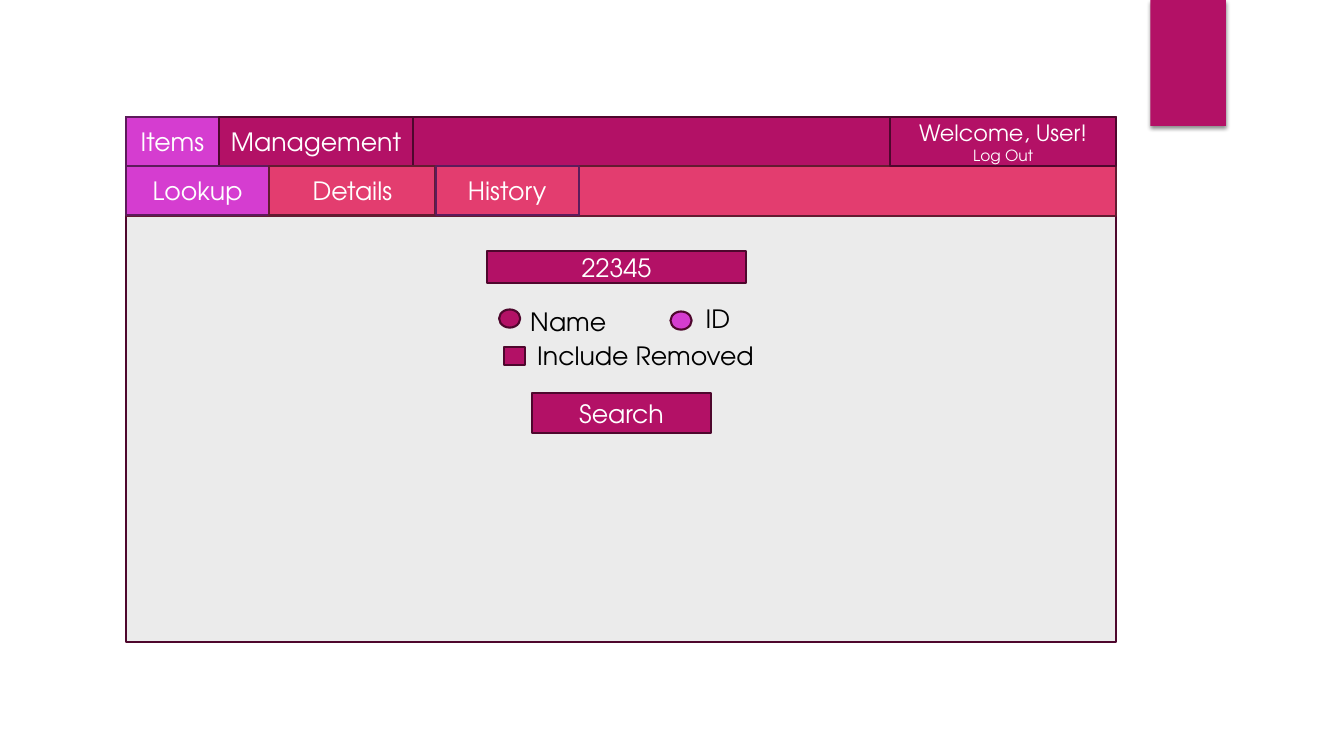
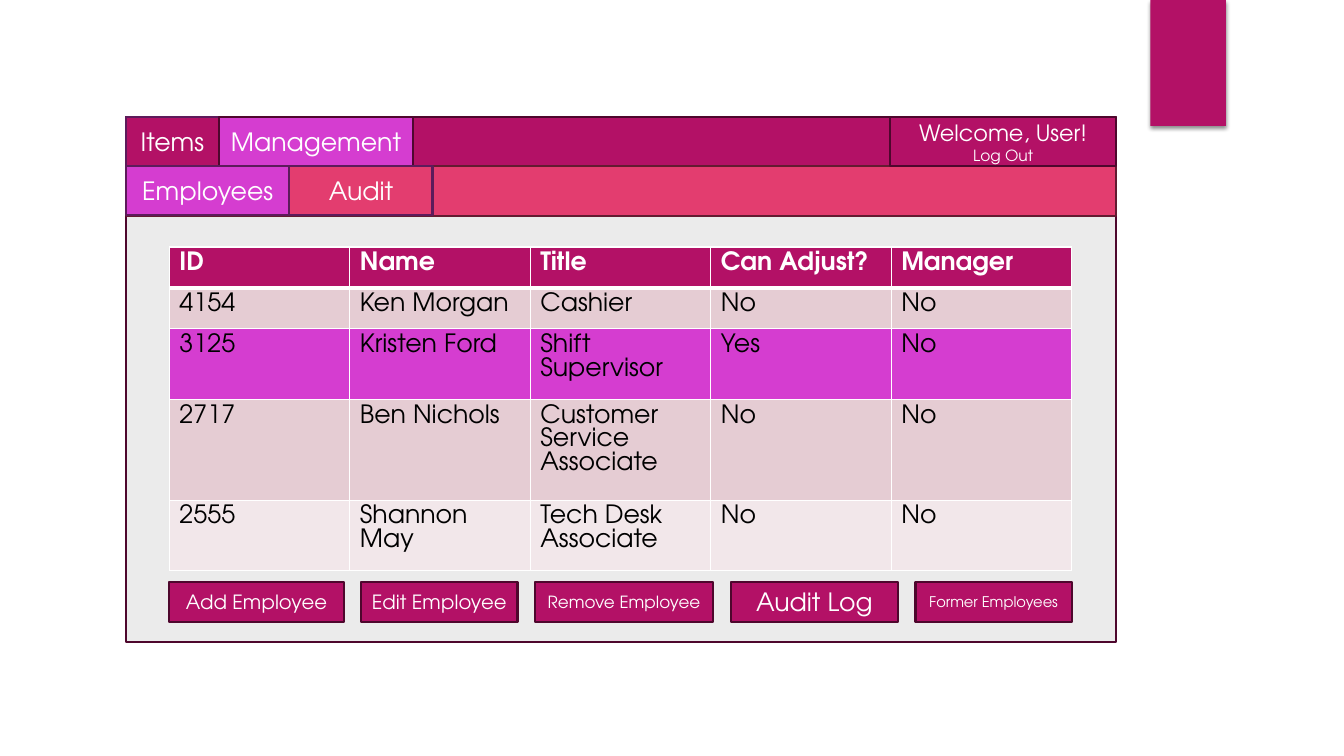
from collections import namedtuple

from lxml import etree
from pptx import Presentation
from pptx import util as u
from pptx.dml import color as dml
from pptx.enum import shapes, text
from pptx.oxml import ns

FONT = "TeX Gyre Adventor"
BERRY, ORCHID, ROSE = "B31166", "D53DD0", "E33D6F"
BERRY_EDGE, ORCHID_EDGE, ROSE_EDGE = "4E072D", "5D1B5B", "631B31"
PANEL, WHITE, BLACK = "EBEBEB", "FFFFFF", "000000"
ROW_DARK, ROW_LIGHT = "E5CCD3", "F2E7EA"
RECT, OVAL = shapes.MSO_SHAPE.RECTANGLE, shapes.MSO_SHAPE.OVAL
BAR_HEIGHT = 0.49

Box = namedtuple("Box", "left top width height")
WINDOW = Box(1.25, 1.16, 9.82, 5.21)

# Main tabs: label, width, edge colour
MAIN_TABS = [("Items", 0.92, ORCHID_EDGE), ("Management", 1.93, BERRY_EDGE)]
ITEM_TABS = [("Lookup", 1.42, ORCHID_EDGE), ("Details", 1.65, ROSE_EDGE),
             ("History", 1.42, ORCHID_EDGE)]
MANAGEMENT_TABS = [("Employees", 1.62, ORCHID_EDGE), ("Audit", 1.42, ORCHID_EDGE)]

EMPLOYEES = [
    ("ID", "Name", "Title", "Can Adjust?", "Manager"),
    ("4154", "Ken Morgan", "Cashier", "No", "No"),
    ("3125", "Kristen Ford", "Shift Supervisor", "Yes", "No"),
    ("2717", "Ben Nichols", "Customer Service Associate", "No", "No"),
    ("2555", "Shannon May", "Tech Desk Associate", "No", "No"),
]
ROW_FILLS = [BERRY, ROW_DARK, ORCHID, ROW_DARK, ROW_LIGHT]

# Buttons: label, width, text size
EMPLOYEE_BUTTONS = [("Add Employee", 1.73, 14), ("Edit Employee", 1.55, 14),
                    ("Remove Employee", 1.77, 12), ("Audit Log", 1.66, 18),
                    ("Former Employees", 1.55, 10.5)]


def rgb(value):
    return dml.RGBColor.from_string(value)


def inches(box):
    return [u.Inches(length) for length in box]


def within(box, left, top, width, height):
    """Turn offsets inside a box into a box on the page."""
    return Box(box.left + left, box.top + top, width, height)


def write(frame, content, sizes=(18,), color=WHITE, bold=False):
    frame.text = content
    for para, size in zip(frame.paragraphs, sizes):
        for span in para.runs:
            span.font.name = FONT
            span.font.size = u.Pt(size)
            span.font.bold = bold
            span.font.color.rgb = rgb(color)


def add_block(page, box, fill=BERRY, edge=BERRY_EDGE, label="", sizes=(18,), kind=RECT):
    block = page.shapes.add_shape(kind, *inches(box))
    block.shadow.inherit = False
    block.fill.solid()
    block.fill.fore_color.rgb = rgb(fill)
    if edge:
        block.line.color.rgb = rgb(edge)
        block.line.width = u.Pt(1.5)
    else:
        block.line.fill.background()
    if label:
        write(block.text_frame, label, sizes)
        for para in block.text_frame.paragraphs:
            para.alignment = text.PP_ALIGN.CENTER
    return block


def add_label(page, box, content):
    frame = page.shapes.add_textbox(*inches(box)).text_frame
    frame.word_wrap = True
    write(frame, content, color=BLACK)


def add_ribbon(page):
    ribbon = add_block(page, Box(11.41, 0, 0.75, 1.25), edge=None)
    effects = ribbon._element.spPr.find(ns.qn("a:effectLst"))
    shadow = etree.SubElement(effects, ns.qn("a:outerShdw"), blurRad=str(u.Pt(3)),
                              dist=str(u.Pt(2)), dir="5400000", rotWithShape="0")
    shade = etree.SubElement(shadow, ns.qn("a:srgbClr"), val=BLACK)
    etree.SubElement(shade, ns.qn("a:alpha"), val="45000")


def add_tabs(page, bar, tabs, active, fill):
    left = 0
    for label, width, edge in tabs:
        add_block(page, within(bar, left, 0, width, bar.height),
                  ORCHID if label == active else fill, edge, label)
        left += width


def add_window(page, box, main_active, sub_tabs, sub_active):
    """Draw the window with both tab bars and return its content area."""
    add_ribbon(page)
    add_block(page, box, PANEL)
    main_bar = box._replace(height=BAR_HEIGHT)
    sub_bar = within(box, 0, BAR_HEIGHT, box.width, BAR_HEIGHT)
    add_block(page, main_bar)
    add_block(page, sub_bar, ROSE, ROSE_EDGE)
    add_tabs(page, main_bar, MAIN_TABS, main_active, BERRY)
    account_width = 2.24
    add_block(page, within(main_bar, box.width - account_width, 0, account_width, BAR_HEIGHT),
              label="Welcome, User!\nLog Out", sizes=(16, 11))
    add_tabs(page, sub_bar._replace(height=0.48), sub_tabs, sub_active, ROSE)
    return within(box, 0, 2 * BAR_HEIGHT, box.width, box.height - 2 * BAR_HEIGHT)


def add_search_form(page, box):
    add_block(page, within(box, 3.58, 0.35, 2.57, 0.32), label="22345")
    add_block(page, within(box, 4.03, 1.76, 1.77, 0.4), label="Search")
    # Options: kind, mark position, fill, label, label position and width
    options = [
        (OVAL, (3.7, 0.93), BERRY, "Name", (3.91, 0.85, 1.09)),
        (OVAL, (5.4, 0.95), ORCHID, "ID", (5.65, 0.82, 1.09)),
        (RECT, (3.75, 1.3), BERRY, "Include Removed", (3.98, 1.19, 3.35)),
    ]
    for kind, mark, fill, label, place in options:
        add_block(page, within(box, *mark, 0.21, 0.18), fill, kind=kind)
        add_label(page, within(box, *place, 0.4), label)


def set_borders(cell, top, bottom):
    properties = cell._tc.get_or_add_tcPr()
    widths = [("L", 1), ("R", 1), ("T", top), ("B", bottom)]
    for index, (side, width) in enumerate(widths):
        line = etree.Element(ns.qn("a:ln" + side), w=str(u.Pt(width)))
        solid = etree.SubElement(line, ns.qn("a:solidFill"))
        etree.SubElement(solid, ns.qn("a:srgbClr"), val=WHITE)
        properties.insert(index, line)


def add_employee_table(page, box):
    table = page.shapes.add_table(len(EMPLOYEES), len(EMPLOYEES[0]), *inches(box)).table
    table.horz_banding = False
    for row, (values, fill) in enumerate(zip(EMPLOYEES, ROW_FILLS)):
        header = row == 0
        for column, value in enumerate(values):
            cell = table.cell(row, column)
            cell.fill.solid()
            cell.fill.fore_color.rgb = rgb(fill)
            write(cell.text_frame, value, color=WHITE if header else BLACK, bold=header)
            set_borders(cell, 3 if row == 1 else 1, 3 if header else 1)


def add_button_row(page, box, buttons):
    gap = (box.width - sum(width for _, width, _ in buttons)) / (len(buttons) - 1)
    left = 0
    for label, width, size in buttons:
        add_block(page, within(box, left, 0, width, box.height), label=label, sizes=(size,))
        left += width + gap


def lookup_slide(page):
    content = add_window(page, WINDOW, "Items", ITEM_TABS, "Lookup")
    add_search_form(page, content)


def employees_slide(page):
    content = add_window(page, WINDOW, "Management", MANAGEMENT_TABS, "Employees")
    add_employee_table(page, within(content, 0.43, 0.31, 8.95, 2.03))
    add_button_row(page, within(content, 0.43, 3.63, 8.95, 0.4), EMPLOYEE_BUTTONS)


def main():
    deck = Presentation()
    deck.slide_width, deck.slide_height = u.Inches(13.33), u.Inches(7.5)
    blank = deck.slide_layouts[6]
    for build in (lookup_slide, employees_slide):
        build(deck.slides.add_slide(blank))
    deck.save("out.pptx")


if __name__ == "__main__":
    main()
